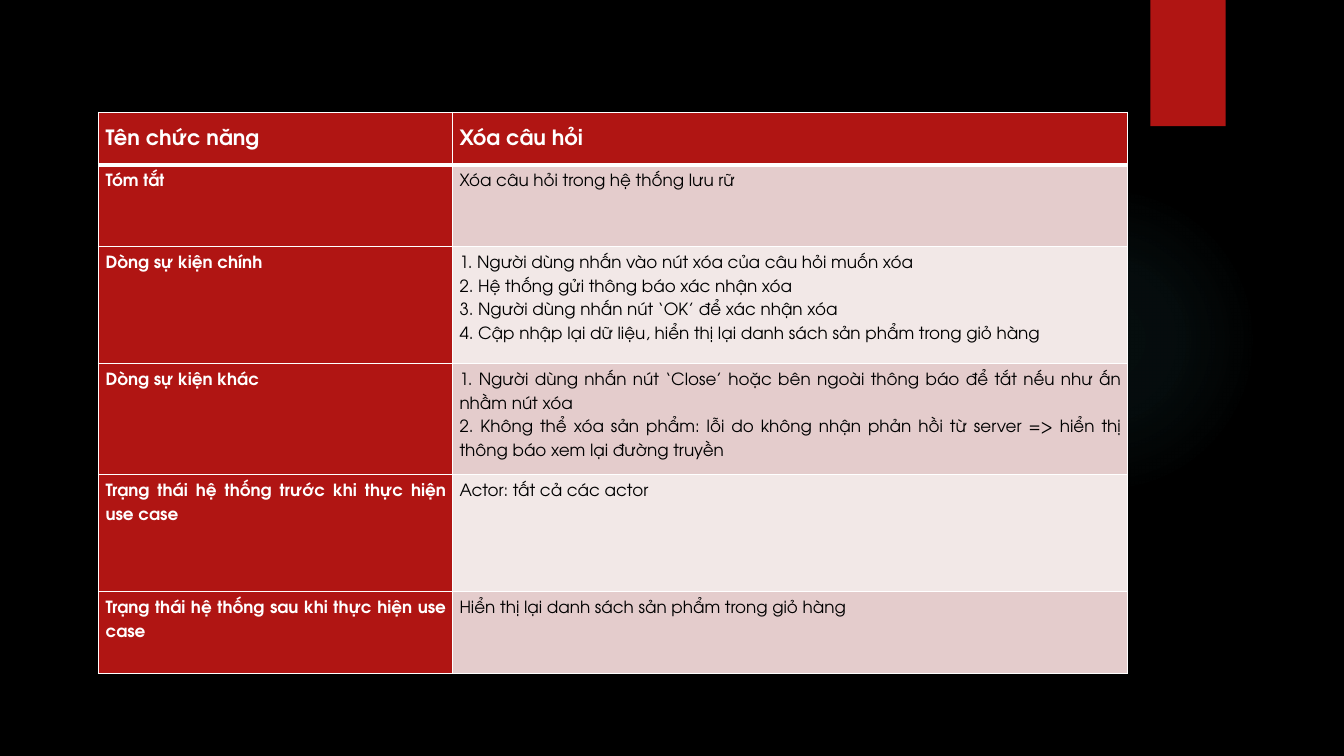
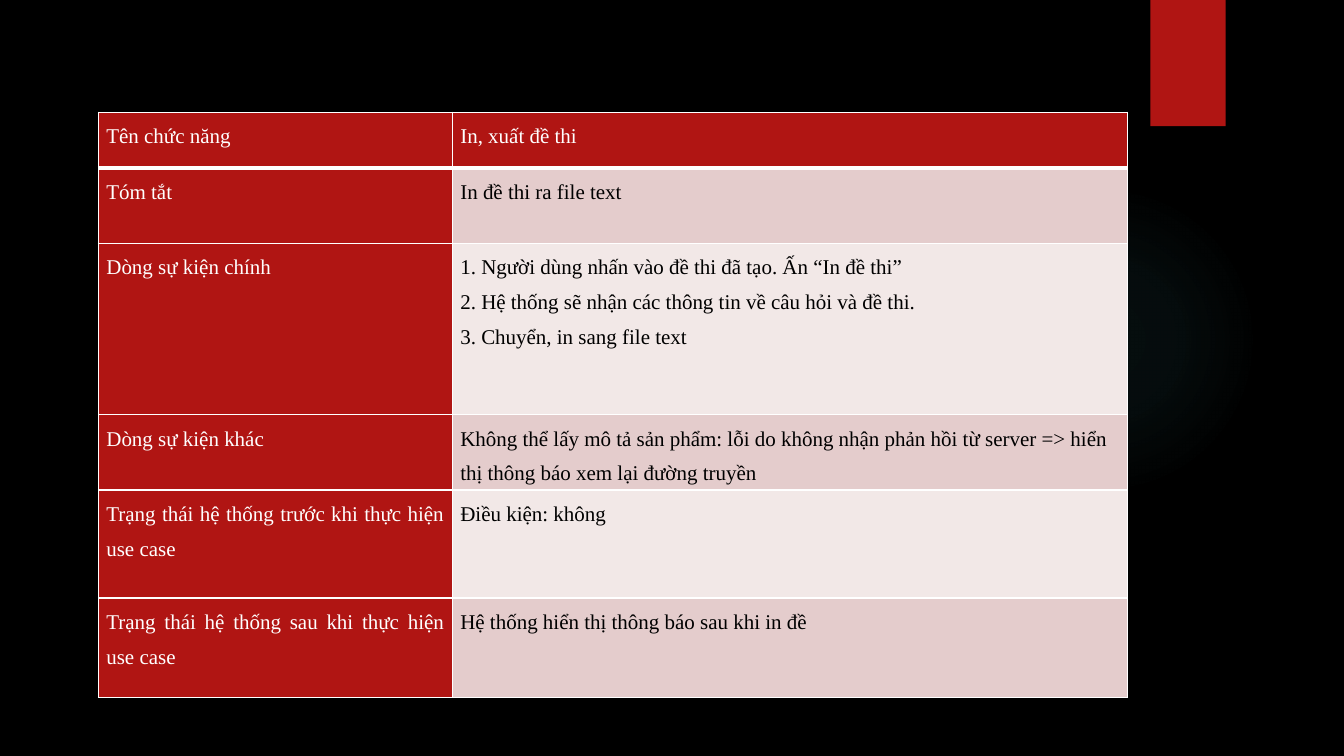
from dataclasses import dataclass

from lxml import etree
from pptx import Presentation
from pptx.dml.color import RGBColor
from pptx.enum.shapes import MSO_SHAPE
from pptx.enum.text import MSO_ANCHOR, PP_ALIGN
from pptx.oxml import parse_xml
from pptx.oxml.ns import nsdecls, qn
from pptx.util import Cm, Pt

RECT, OVAL = MSO_SHAPE.RECTANGLE, MSO_SHAPE.OVAL
TOP, BOTTOM = MSO_ANCHOR.TOP, MSO_ANCHOR.BOTTOM
LEFT, JUSTIFY = PP_ALIGN.LEFT, PP_ALIGN.JUSTIFY

BLACK = RGBColor(0x00, 0x00, 0x00)
WHITE = RGBColor(0xFF, 0xFF, 0xFF)
RED = RGBColor(0xB0, 0x15, 0x13)
TEAL = RGBColor(0x50, 0xB9, 0xC1)
ROSE = RGBColor(0xE4, 0xCC, 0xCC)
PALE = RGBColor(0xF2, 0xE8, 0xE7)

COLS = (8.92, 17.02)
THIN, THICK = Pt(1), Pt(3)
HEADS = (
    "Tên chức năng",
    "Tóm tắt",
    "Dòng sự kiện chính",
    "Dòng sự kiện khác",
    "Trạng thái hệ thống trước khi thực hiện use case",
    "Trạng thái hệ thống sau khi thực hiện use case",
)


@dataclass
class Style:
    """Look of one table; lengths in centimetres."""
    font: str
    head: int
    body: int
    bold: bool
    anchor: int
    inset: tuple
    rows: tuple
    ragged: tuple = ()


DELETE = Style("TeX Gyre Adventor", 15, 12, True, BOTTOM,
               (0.18, 0.05, 0.15, 0.38),
               (1.32, 2.06, 2.95, 2.06, 2.95, 2.06))
PRINT = Style("Times New Roman", 15, 15, False, TOP,
              (0.2, 0.03, 0.2, 0),
              (1.4, 1.9, 4.32, 1.9, 2.72, 2.51), ragged=(3,))

# Right column of each table: one tuple of paragraphs per row
DELETE_TEXT = (
    ("Xóa câu hỏi",),
    ("Xóa câu hỏi trong hệ thống lưu rữ",),
    ("1. Người dùng nhấn vào nút xóa của câu hỏi muốn xóa",
     "2. Hệ thống gửi thông báo xác nhận xóa",
     "3. Người dùng nhấn nút ‘OK’ để xác nhận xóa",
     "4. Cập nhập lại dữ liệu, hiển thị lại danh sách sản phẩm "
     "trong giỏ hàng"),
    ("1. Người dùng nhấn nút ‘Close’ hoặc bên ngoài thông báo để tắt "
     "nếu như ấn nhầm nút xóa",
     "2. Không thể xóa sản phẩm: lỗi do không nhận phản hồi từ server "
     "=> hiển thị thông báo xem lại đường truyền"),
    ("Actor: tất cả các actor",),
    ("Hiển thị lại danh sách sản phẩm trong giỏ hàng",),
)
PRINT_TEXT = (
    ("In, xuất đề thi",),
    ("In đề thi ra file text",),
    ("1. Người dùng nhấn vào đề thi đã tạo. Ấn “In đề thi”",
     "2. Hệ thống sẽ nhận các thông tin về câu hỏi và đề thi.",
     "3. Chuyển, in sang file text"),
    ("Không thể lấy mô tả sản phẩm: lỗi do không nhận phản hồi từ server "
     "=> hiển thị thông báo xem lại đường truyền",),
    ("Điều kiện: không",),
    ("Hệ thống hiển thị thông báo sau khi in đề",),
)


def add_shape(slide, kind, left, top, width, height):
    shape = slide.shapes.add_shape(
        kind, Cm(left), Cm(top), Cm(width), Cm(height))
    shape.shadow.inherit = False
    shape.line.fill.background()
    return shape


def add_glow(slide):
    """Faint round glow that fades out from its centre."""
    glow = add_shape(slide, OVAL, 23.9, 4.65, 7.82, 7.82)
    stops = "".join(
        f'<a:gs pos="{at * 1000}"><a:srgbClr val="{TEAL}">'
        f'<a:alpha val="{alpha * 1000}"/></a:srgbClr></a:gs>'
        for at, alpha in ((0, 7), (36, 6), (69, 0)))
    fill = parse_xml(
        f'<a:gradFill {nsdecls("a")} rotWithShape="1">'
        f'<a:gsLst>{stops}</a:gsLst><a:path path="circle">'
        '<a:fillToRect l="50000" t="50000" r="50000" b="50000"/>'
        '</a:path></a:gradFill>')
    glow.element.spPr.find(qn("a:prstGeom")).addnext(fill)


def add_decor(slide):
    add_glow(slide)
    tab = add_shape(slide, RECT, 28.99, 0, 1.9, 3.18)
    tab.fill.solid()
    tab.fill.fore_color.rgb = RED


def set_edges(cell, row):
    """White rules, heavier between the header and the body."""
    props = cell._tc.get_or_add_tcPr()
    widths = {"L": THIN, "R": THIN,
              "T": THICK if row == 1 else THIN,
              "B": THICK if row == 0 else THIN}
    for spot, (side, width) in enumerate(widths.items()):
        edge = etree.Element(qn(f"a:ln{side}"), w=str(int(width)))
        fill = etree.SubElement(edge, qn("a:solidFill"))
        etree.SubElement(fill, qn("a:srgbClr"), val=str(WHITE))
        props.insert(spot, edge)


def fill_cell(cell, lines, row, col, style):
    label = row == 0 or col == 0
    cell.fill.solid()
    cell.fill.fore_color.rgb = RED if label else (ROSE if row % 2 else PALE)
    set_edges(cell, row)
    cell.vertical_anchor = style.anchor if row == 0 else TOP
    (cell.margin_left, cell.margin_top,
     cell.margin_right, cell.margin_bottom) = map(Cm, style.inset)
    frame = cell.text_frame
    for spot, line in enumerate(lines):
        para = frame.add_paragraph() if spot else frame.paragraphs[0]
        para.alignment = LEFT if row in style.ragged else JUSTIFY
        para.line_spacing = 1.5
        run = para.add_run()
        run.text = line
        font = run.font
        font.name = style.font
        font.size = Pt(style.body if row else style.head)
        font.bold = label and style.bold
        font.color.rgb = WHITE if label else BLACK


def add_case(slide, style, texts):
    """Use case table: labels on the left, details on the right."""
    frame = slide.shapes.add_table(
        len(HEADS), len(COLS), Cm(2.48), Cm(2.83),
        Cm(sum(COLS)), Cm(sum(style.rows)))
    table = frame.table
    table.first_col = True
    for col, width in enumerate(COLS):
        table.columns[col].width = Cm(width)
    for row, (head, lines) in enumerate(zip(HEADS, texts)):
        table.rows[row].height = Cm(style.rows[row])
        for col, part in enumerate(((head,), lines)):
            fill_cell(table.cell(row, col), part, row, col, style)


def main():
    deck = Presentation()
    deck.slide_width, deck.slide_height = Cm(33.87), Cm(19.05)
    back = deck.slide_master.background.fill
    back.solid()
    back.fore_color.rgb = BLACK
    blank = deck.slide_layouts[6]
    for style, texts in ((DELETE, DELETE_TEXT), (PRINT, PRINT_TEXT)):
        slide = deck.slides.add_slide(blank)
        add_decor(slide)
        add_case(slide, style, texts)
    deck.save("out.pptx")


if __name__ == "__main__":
    main()
